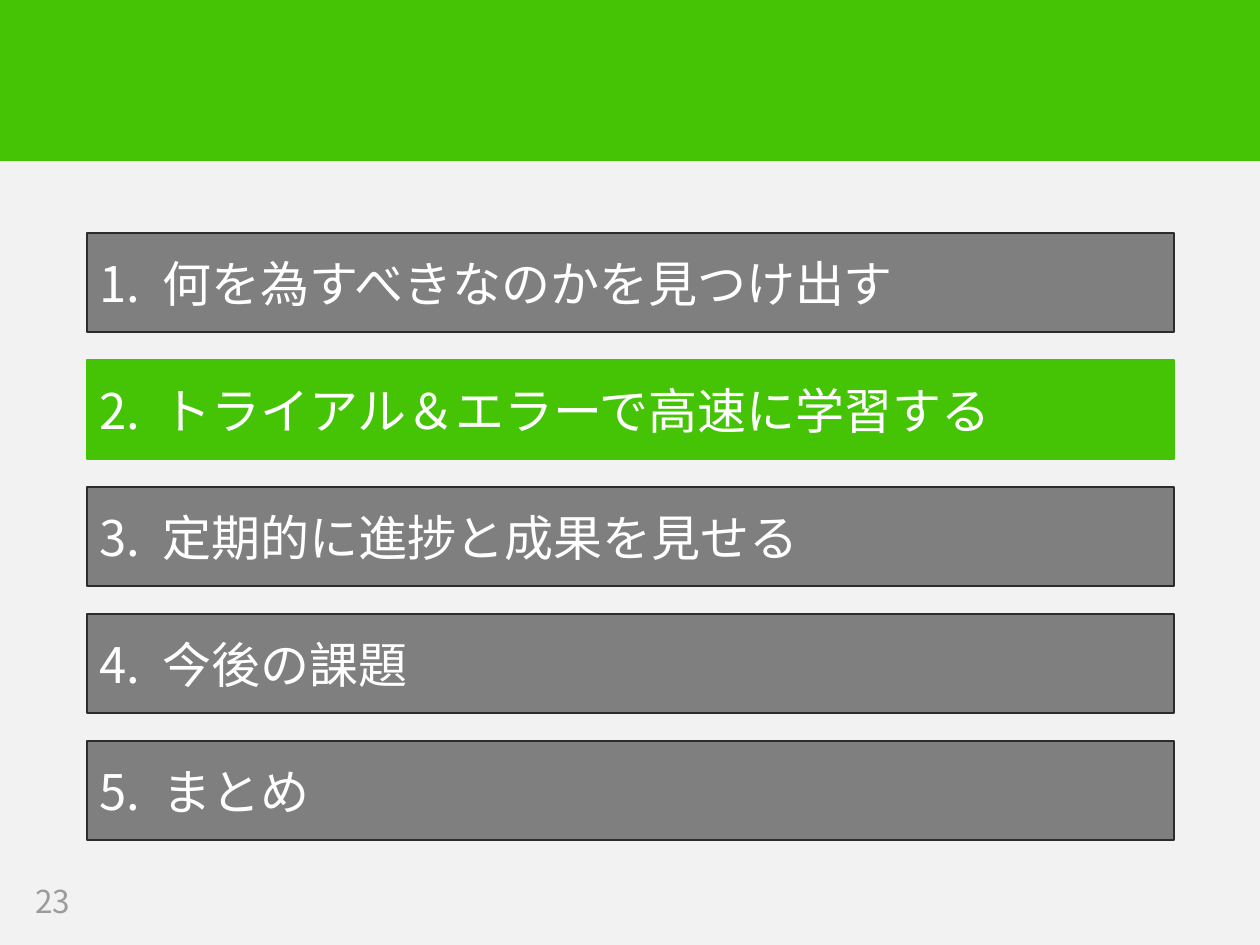
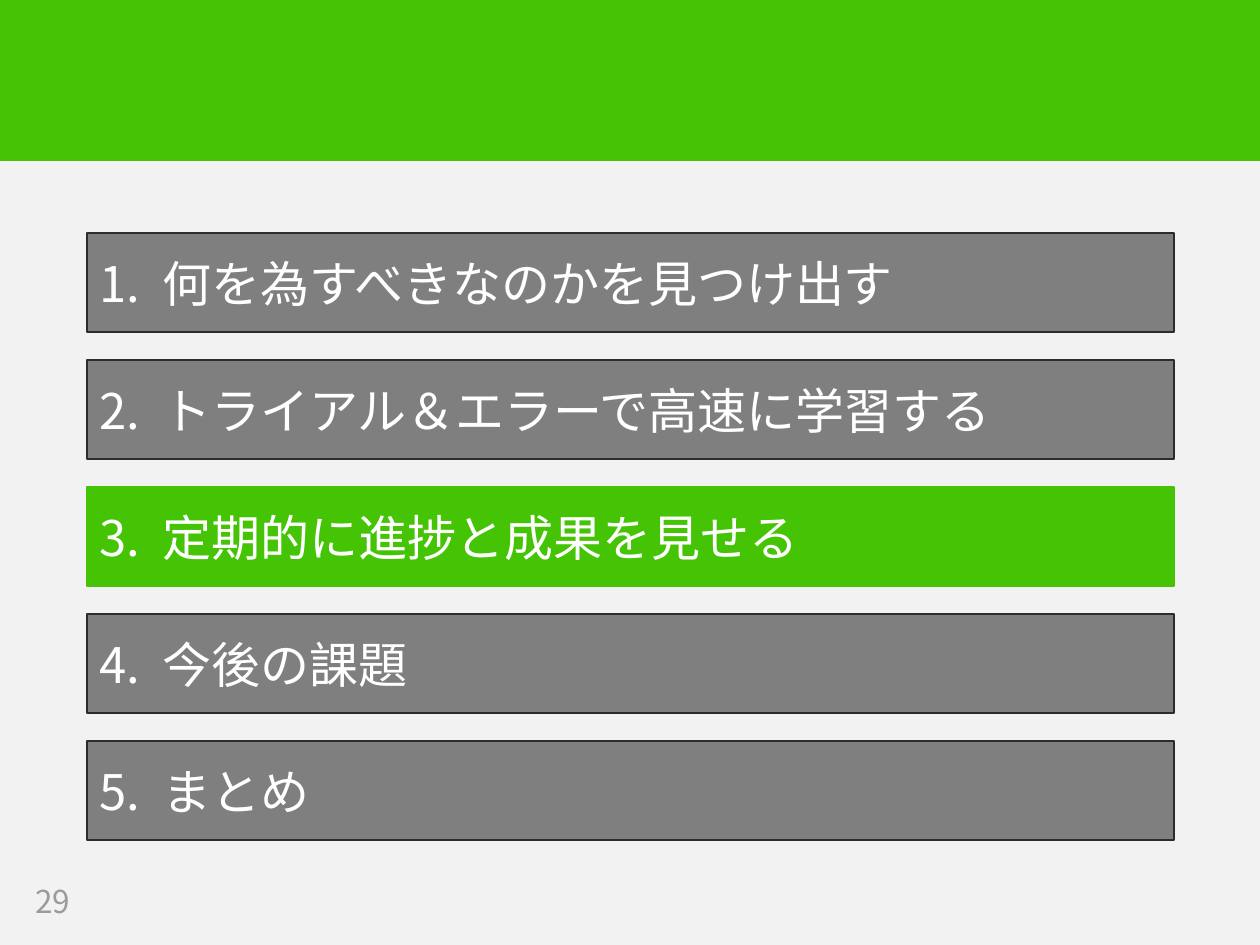
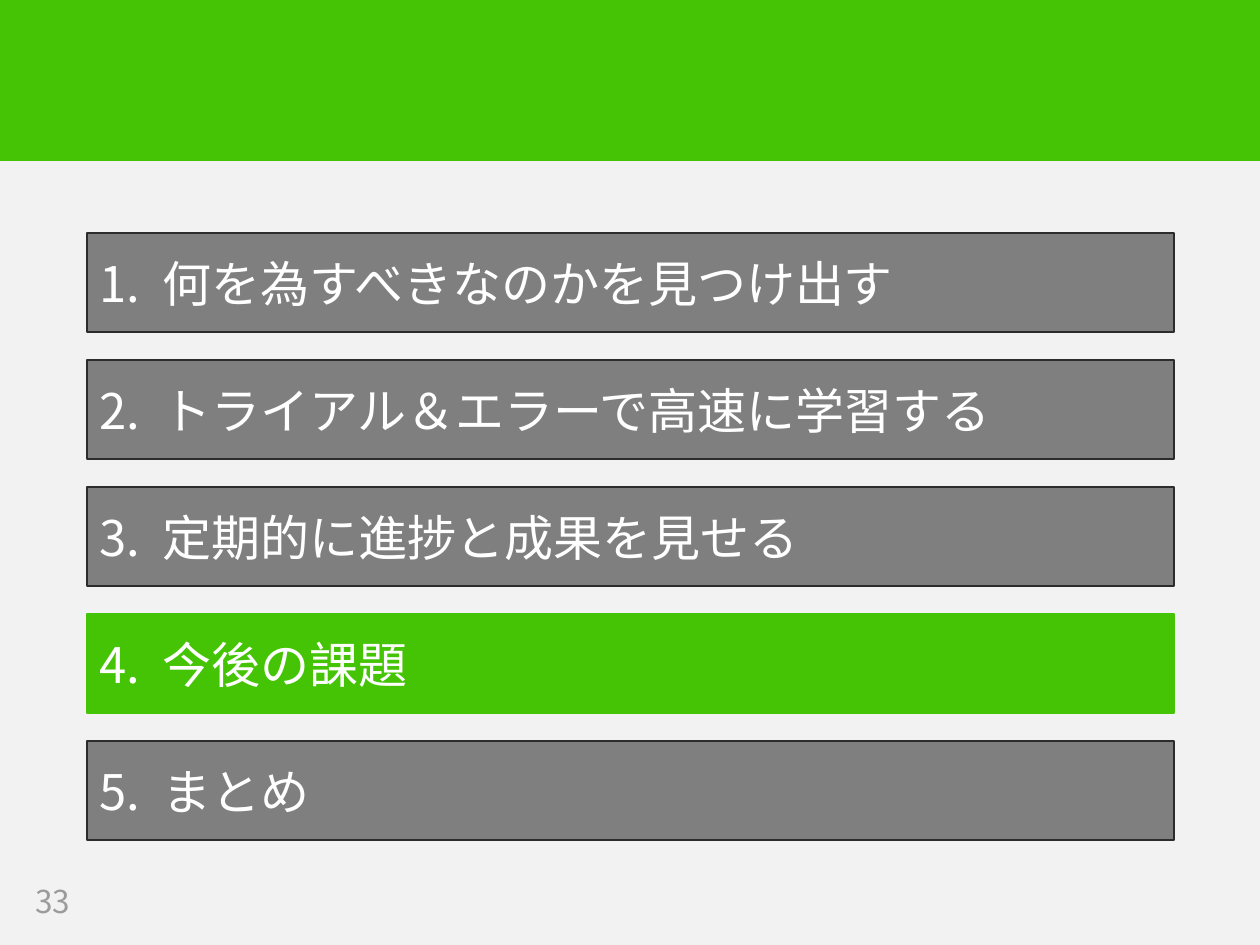
import pptx
import pptx.dml.color
import pptx.enum.shapes
import pptx.enum.text
import pptx.oxml.ns
import pptx.util

# Content
CHAPTERS = [
    "何を為すべきなのかを見つけ出す",
    "トライアル＆エラーで高速に学習する",
    "定期的に進捗と成果を見せる",
    "今後の課題",
    "まとめ",
]
AGENDAS = [  # page number, current chapter
    ("23", 2),
    ("29", 3),
    ("33", 4),
]

# Shared look
COLORS = {
    "background": "F2F2F2",
    "accent": "44C404",
    "bar": "7F7F7F",
    "bar_line": "2C2C2C",
    "bar_text": "FFFFFF",
    "page_number": "9B9B9B",
}
FONT = "Noto Sans CJK JP"

# Lengths in px, 126 to the inch
EMU_PER_PX = 914400 / 126
PAGE_WIDTH, PAGE_HEIGHT = 1260, 945
HEADER = (0, -1, PAGE_WIDTH, 161)
NUMBER = (23, 876, 100, 49)
BAR_LEFT, BAR_TOP, BAR_WIDTH, BAR_HEIGHT = 87, 233, 1087, 99
BAR_PITCH = 127
TEXT_INDENT = 63


def px(length):
    return pptx.util.Emu(round(length * EMU_PER_PX))


def rgb(name):
    return pptx.dml.color.RGBColor.from_string(COLORS[name])


def add_bar(page, bounds, fill, line, line_width):
    bar = page.shapes.add_shape(
        pptx.enum.shapes.MSO_SHAPE.RECTANGLE, *map(px, bounds))
    bar.shadow.inherit = False
    bar.fill.solid()
    bar.fill.fore_color.rgb = rgb(fill)
    bar.line.color.rgb = rgb(line)
    bar.line.width = pptx.util.Pt(line_width)
    return bar


def write(box, text, size, color, indent=0):
    frame = box.text_frame
    frame.word_wrap = True
    frame.vertical_anchor = pptx.enum.text.MSO_ANCHOR.MIDDLE
    para = frame.paragraphs[0]
    para.alignment = pptx.enum.text.PP_ALIGN.LEFT
    if indent:  # hanging indent: the tab after the number ends here
        properties = para._p.get_or_add_pPr()
        properties.set("marL", str(px(indent)))
        properties.set("indent", str(-px(indent)))
    span = para.add_run()
    span.text = text
    span.font.size = pptx.util.Pt(size)
    span.font.color.rgb = rgb(color)
    span.font.name = FONT
    east_asian = span.font._element.makeelement(
        pptx.oxml.ns.qn("a:ea"), {"typeface": FONT})
    span.font._element.find(pptx.oxml.ns.qn("a:latin")).addnext(east_asian)


def style_master(deck, page):
    """Put the background and the header band on the master."""
    master = deck.slide_master
    master.background.fill.solid()
    master.background.fill.fore_color.rgb = rgb("background")
    band = add_bar(page, HEADER, "accent", "accent", 1)
    master.shapes._spTree.insert(2, band._element)


def add_agenda(page, page_number, current):
    number_box = page.shapes.add_textbox(*map(px, NUMBER))
    write(number_box, page_number, size=18, color="page_number")
    for index, chapter in enumerate(CHAPTERS):
        bounds = (BAR_LEFT, BAR_TOP + index * BAR_PITCH, BAR_WIDTH, BAR_HEIGHT)
        number = index + 1
        fill, line = (("accent", "accent") if number == current
                      else ("bar", "bar_line"))
        bar = add_bar(page, bounds, fill, line, 0.75)
        write(bar, f"{number}.\t{chapter}", size=28, color="bar_text",
              indent=TEXT_INDENT)


def main():
    deck = pptx.Presentation()
    deck.slide_width, deck.slide_height = px(PAGE_WIDTH), px(PAGE_HEIGHT)
    blank = deck.slide_layouts.get_by_name("Blank")
    pages = [deck.slides.add_slide(blank) for _ in AGENDAS]
    style_master(deck, pages[0])
    for page, (page_number, current) in zip(pages, AGENDAS):
        add_agenda(page, page_number, current)
    deck.save("out.pptx")


if __name__ == "__main__":
    main()
